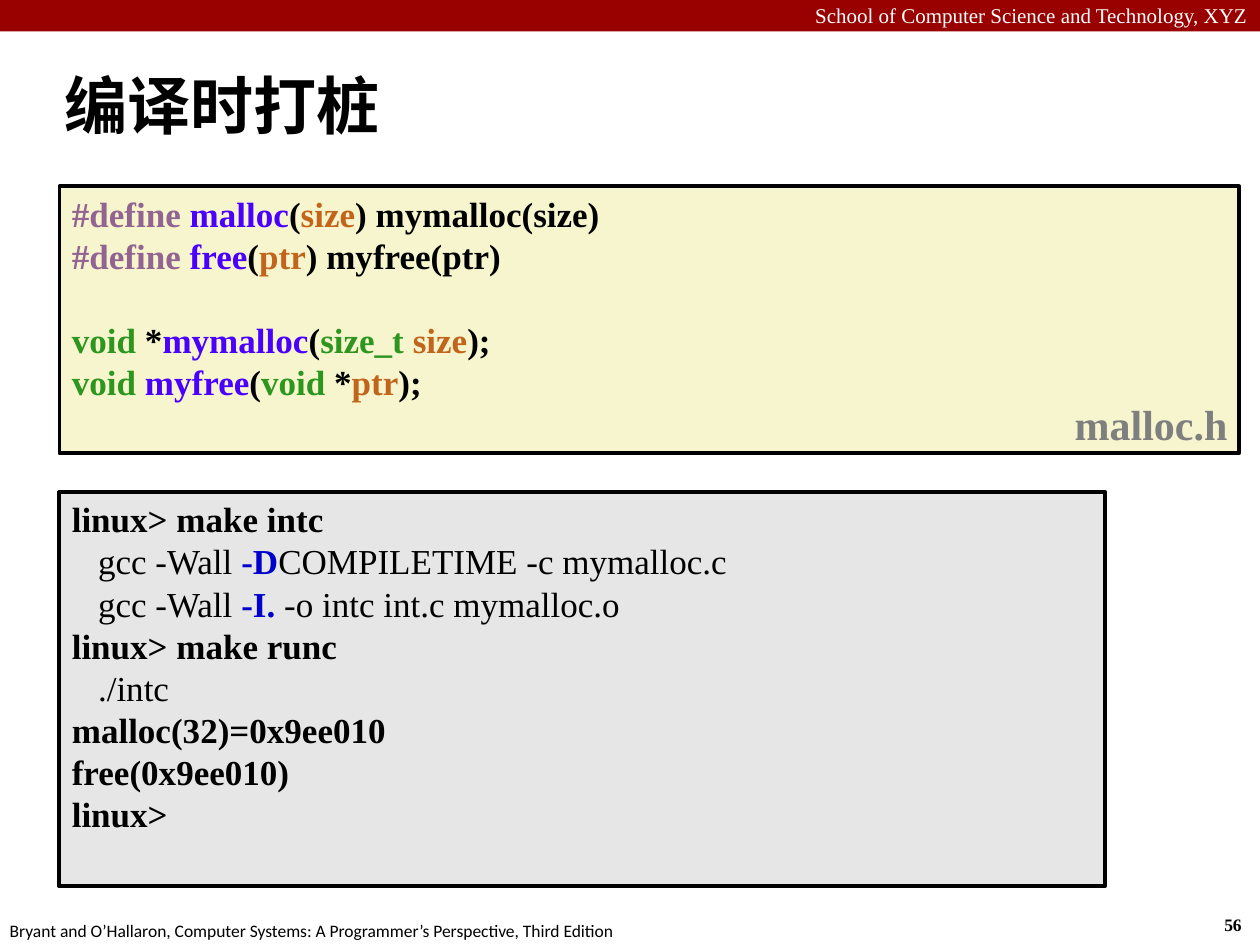
from pptx import Presentation
from pptx.util import Pt
from pptx.dml.color import RGBColor
from pptx.enum.shapes import MSO_SHAPE
from pptx.enum.text import MSO_ANCHOR, PP_ALIGN

INK, MACRO, NAME, ARG, KIND, FLAG = "000000", "926492", "4A00FF", "C1651C", "2D961E", "0000CC"
SERIF, SANS = "Times New Roman", "Calibri"


def color(code):
    return RGBColor.from_string(code)


def write(par, parts, size, face=SERIF):
    for text, hue, bold in parts:
        run = par.add_run()
        run.text = text
        run.font.size = Pt(size)
        run.font.name = face
        run.font.bold = bold
        run.font.color.rgb = color(hue)


deck = Presentation()
deck.slide_width, deck.slide_height = Pt(720), Pt(540)
slide = deck.slides.add_slide(deck.slide_layouts[5])
shapes = slide.shapes

band = shapes.add_shape(MSO_SHAPE.RECTANGLE, 0, 0, Pt(720), Pt(18))
band.shadow.inherit = False
band.fill.solid()
band.fill.fore_color.rgb = color("990000")
band.line.fill.background()

title = shapes.title
title.left, title.top, title.width, title.height = Pt(29.5), Pt(29.5), Pt(685), Pt(60)
title.text_frame.vertical_anchor = MSO_ANCHOR.MIDDLE
head = title.text_frame.paragraphs[0]
head.alignment = PP_ALIGN.LEFT
write(head, [("编译时打桩", INK, True)], 36, SANS)

header = [
    [("#define ", MACRO), ("malloc", NAME), ("(", INK), ("size", ARG), (") mymalloc(size)", INK)],
    [("#define ", MACRO), ("free", NAME), ("(", INK), ("ptr", ARG), (") myfree(ptr)", INK)],
    [("void", KIND), (" *", INK), ("mymalloc", NAME), ("(", INK), ("size_t ", KIND),
     ("size", ARG), (");", INK)],
    [("void ", KIND), ("myfree", NAME), ("(", INK), ("void", KIND), (" *", INK),
     ("ptr", ARG), (");", INK)],
]
code = [[(text, hue, True) for text, hue in line] for line in header]
shell = [
    [("linux> make intc", INK, True)],
    [("gcc -Wall ", INK, False), ("-D", FLAG, True), ("COMPILETIME -c mymalloc.c", INK, False)],
    [("gcc -Wall ", INK, False), ("-I. ", FLAG, True), ("-o intc int.c mymalloc.o", INK, False)],
    [("linux> make runc", INK, True)],
    [("./intc", INK, False)],
    [("malloc(32)=0x9ee010", INK, True)],
    [("free(0x9ee010)", INK, True)],
    [("linux>", INK, True)],
]

panels = [
    (106.5, 674, 152.5, "F7F5CD", code),
    (281, 597.5, 225.5, "E6E6E6", shell),
]
for top, width, height, fill, lines in panels:
    panel = shapes.add_shape(MSO_SHAPE.RECTANGLE, Pt(34), Pt(top), Pt(width), Pt(height))
    panel.shadow.inherit = False
    panel.fill.solid()
    panel.fill.fore_color.rgb = color(fill)
    panel.line.color.rgb = color(INK)
    panel.line.width = Pt(2.25)
    frame = panel.text_frame
    frame.word_wrap = True
    frame.vertical_anchor = MSO_ANCHOR.TOP
    for i, line in enumerate(lines):
        par = frame.paragraphs[0] if i == 0 else frame.add_paragraph()
        par.alignment = PP_ALIGN.LEFT
        if lines is code and i == 2:
            par.space_before = Pt(24)
        if not line[0][2]:
            par._p.get_or_add_pPr().set("marL", str(Pt(15)))
        write(par, line, 20)

labels = [
    (0, -2, 720, 22, "School of Computer Science and Technology, XYZ", 12, SERIF, "FFFFFF", False, True),
    (607, 224, 103, 36, "malloc.h", 24, SERIF, "7F7F7F", True, False),
    (692.5, 519, 27, 19.5, "56", 10, SERIF, INK, True, False),
    (-1.5, 522, 366, 19.5, "Bryant and O’Hallaron, Computer Systems: A Programmer’s Perspective, Third Edition",
     10, SANS, INK, False, False),
]
for left, top, width, height, text, size, face, hue, bold, right in labels:
    label = shapes.add_textbox(Pt(left), Pt(top), Pt(width), Pt(height))
    label.text_frame.word_wrap = right
    par = label.text_frame.paragraphs[0]
    par.alignment = PP_ALIGN.RIGHT if right else PP_ALIGN.LEFT
    write(par, [(text, hue, bold)], size, face)

deck.save("out.pptx")
